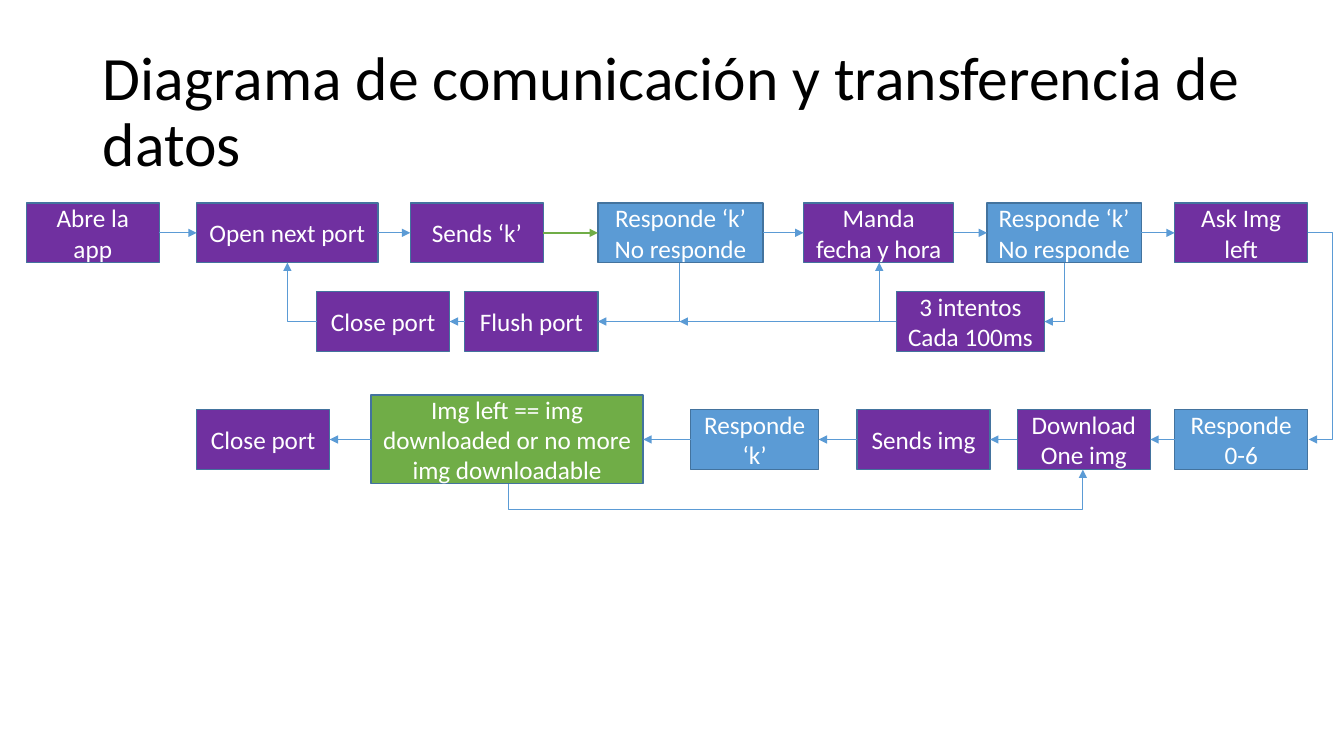
import pptx
import pptx.dml.color
import pptx.enum.shapes
import pptx.enum.text
import pptx.oxml
import pptx.oxml.ns
import pptx.util

Inches = pptx.util.Inches
Pt = pptx.util.Pt
RGB = pptx.dml.color.RGBColor.from_string
qn = pptx.oxml.ns.qn
PP_ALIGN = pptx.enum.text.PP_ALIGN
MIDDLE = pptx.enum.text.MSO_ANCHOR.MIDDLE
CONNECTOR = pptx.enum.shapes.MSO_CONNECTOR


class Theme:
    font = "Calibri"
    title_size, box_size = 44, 18
    ink, paper = "000000", "FFFFFF"
    purple, blue, green = "7030A0", "5B9BD5", "70AD47"
    border, border_width = "43739E", 1
    line_width, strong_width = 0.5, 1.5


def add_run(p, text, size, color):
    r = p.add_run()
    r.text = text
    r.font.name = Theme.font
    r.font.size = Pt(size)
    r.font.color.rgb = RGB(color)


def style_arrow(c, color=Theme.blue, width=Theme.line_width):
    c.line.color.rgb = RGB(color)
    c.line.width = Pt(width)
    tail = pptx.oxml.parse_xml(
        '<a:tailEnd xmlns:a="http://schemas.openxmlformats.org/drawingml/2006/main" type="triangle"/>')
    c.line._get_or_add_ln().append(tail)
    c._element.spPr.append(c._element.spPr.makeelement(qn("a:effectLst"), {}))


prs = pptx.Presentation()
prs.slide_width, prs.slide_height = Inches(13.33), Inches(7.5)
s = prs.slides.add_slide(prs.slide_layouts[5])

title = s.shapes.title
title.left, title.top, title.width, title.height = map(Inches, (0.92, 0.4, 11.5, 1.45))
tf = title.text_frame
tf.word_wrap = True
tf.auto_size = pptx.enum.text.MSO_AUTO_SIZE.NONE
tf.vertical_anchor = MIDDLE
p = tf.paragraphs[0]
p.alignment = PP_ALIGN.LEFT
p.line_spacing = 0.9
add_run(p, "Diagrama de comunicación y transferencia de datos", Theme.title_size, Theme.ink)

BOX_W, BOX_H = 1.32, 0.59
TOP, RETRY, DOWNLOAD = 2.31, 3.19, 4.36

boxes = {
    "open_app": (0.26, TOP, BOX_W, BOX_H, Theme.purple, ["Abre la app"]),
    "open_port": (1.95, TOP, 1.8, BOX_H, Theme.purple, ["Open next port"]),
    "send_k": (4.07, TOP, BOX_W, BOX_H, Theme.purple, ["Sends ‘k’"]),
    "reply_k": (5.93, TOP, 1.64, BOX_H, Theme.blue, ["Responde ‘k’", "No responde"]),
    "send_date": (7.97, TOP, 1.49, BOX_H, Theme.purple, ["Manda fecha y hora"]),
    "reply_date": (9.79, TOP, 1.53, BOX_H, Theme.blue, ["Responde ‘k’", "No responde"]),
    "ask_left": (11.65, TOP, BOX_W, BOX_H, Theme.purple, ["Ask Img left"]),
    "close_retry": (3.14, RETRY, BOX_W, BOX_H, Theme.purple, ["Close port"]),
    "flush": (4.61, RETRY, BOX_W, BOX_H, Theme.purple, ["Flush port"]),
    "attempts": (8.89, RETRY, 1.47, BOX_H, Theme.purple, ["3 intentos", "Cada 100ms"]),
    "reply_count": (11.65, DOWNLOAD, BOX_W, BOX_H, Theme.blue, ["Responde 0-6"]),
    "download": (10.09, DOWNLOAD, BOX_W, BOX_H, Theme.purple, ["Download", "One img"]),
    "send_img": (8.5, DOWNLOAD, BOX_W, BOX_H, Theme.purple, ["Sends img"]),
    "reply_img": (6.85, DOWNLOAD, 1.27, BOX_H, Theme.blue, ["Responde ‘k’"]),
    "check_left": (3.68, DOWNLOAD, 2.7, 0.88, Theme.green,
                   ["Img left == img downloaded or no more img downloadable"]),
    "close_end": (1.95, DOWNLOAD, BOX_W, BOX_H, Theme.purple, ["Close port"]),
}

shapes = {}
for name, (x, mid, w, h, fill, lines) in boxes.items():
    sp = s.shapes.add_shape(pptx.enum.shapes.MSO_SHAPE.RECTANGLE,
                            Inches(x), Inches(mid - h / 2), Inches(w), Inches(h))
    sp.shadow.inherit = False
    sp.fill.solid()
    sp.fill.fore_color.rgb = RGB(fill)
    sp.line.color.rgb = RGB(Theme.border)
    sp.line.width = Pt(Theme.border_width)
    tf = sp.text_frame
    tf.word_wrap = True
    tf.vertical_anchor = MIDDLE
    for i, text in enumerate(lines):
        p = tf.paragraphs[0] if i == 0 else tf.add_paragraph()
        p.alignment = PP_ALIGN.CENTER
        add_run(p, text, Theme.box_size, Theme.paper)
    shapes[name] = sp

LEFT_SITE, RIGHT_SITE = 1, 3
flows = [
    (["open_app", "open_port", "send_k", "reply_k", "send_date", "reply_date", "ask_left"],
     RIGHT_SITE, LEFT_SITE),
    (["flush", "close_retry"], LEFT_SITE, RIGHT_SITE),
    (["reply_count", "download", "send_img", "reply_img", "check_left", "close_end"],
     LEFT_SITE, RIGHT_SITE),
]
for names, begin_site, end_site in flows:
    for begin, end in zip(names, names[1:]):
        c = s.shapes.add_connector(CONNECTOR.STRAIGHT, 0, 0, 0, 0)
        c.begin_connect(shapes[begin], begin_site)
        c.end_connect(shapes[end], end_site)
        if begin == "send_k":
            style_arrow(c, Theme.green, Theme.strong_width)
        else:
            style_arrow(c)

c = s.shapes.add_connector(CONNECTOR.STRAIGHT, Inches(8.89), Inches(RETRY), Inches(6.74), Inches(RETRY))
style_arrow(c)

TOP_EDGE = TOP + BOX_H / 2
elbows = [
    (6.74, TOP_EDGE, 5.93, RETRY, 90, "", "bentConnector2", None),
    (3.14, RETRY, 2.85, TOP_EDGE, 180, "", "bentConnector2", None),
    (10.56, TOP_EDGE, 10.36, RETRY, 90, "", "bentConnector2", None),
    (8.89, RETRY, 8.72, TOP_EDGE, 180, "", "bentConnector2", None),
    (12.97, TOP, 12.98, DOWNLOAD, 0, "", "bentConnector3", 2500000),
    (5.04, 4.8, 10.74, 4.66, 90, "HV", "bentConnector3", -178000),
]
for x1, y1, x2, y2, rot, flips, preset, bend in elbows:
    w, h = abs(x2 - x1), abs(y2 - y1)
    if rot == 90:
        w, h = h, w
    x, y = (x1 + x2 - w) / 2, (y1 + y2 - h) / 2
    c = s.shapes.add_connector(CONNECTOR.ELBOW, Inches(x), Inches(y), Inches(x + w), Inches(y + h))
    xfrm = c._element.spPr.find(qn("a:xfrm"))
    xfrm.set("rot", str(rot * 60000))
    for axis in flips:
        xfrm.set("flip" + axis, "1")
    geom = c._element.spPr.find(qn("a:prstGeom"))
    geom.set("prst", preset)
    if bend is not None:
        guides = geom.find(qn("a:avLst"))
        guides.append(guides.makeelement(qn("a:gd"), {"name": "adj1", "fmla": f"val {bend}"}))
    style_arrow(c)

prs.save("out.pptx")
